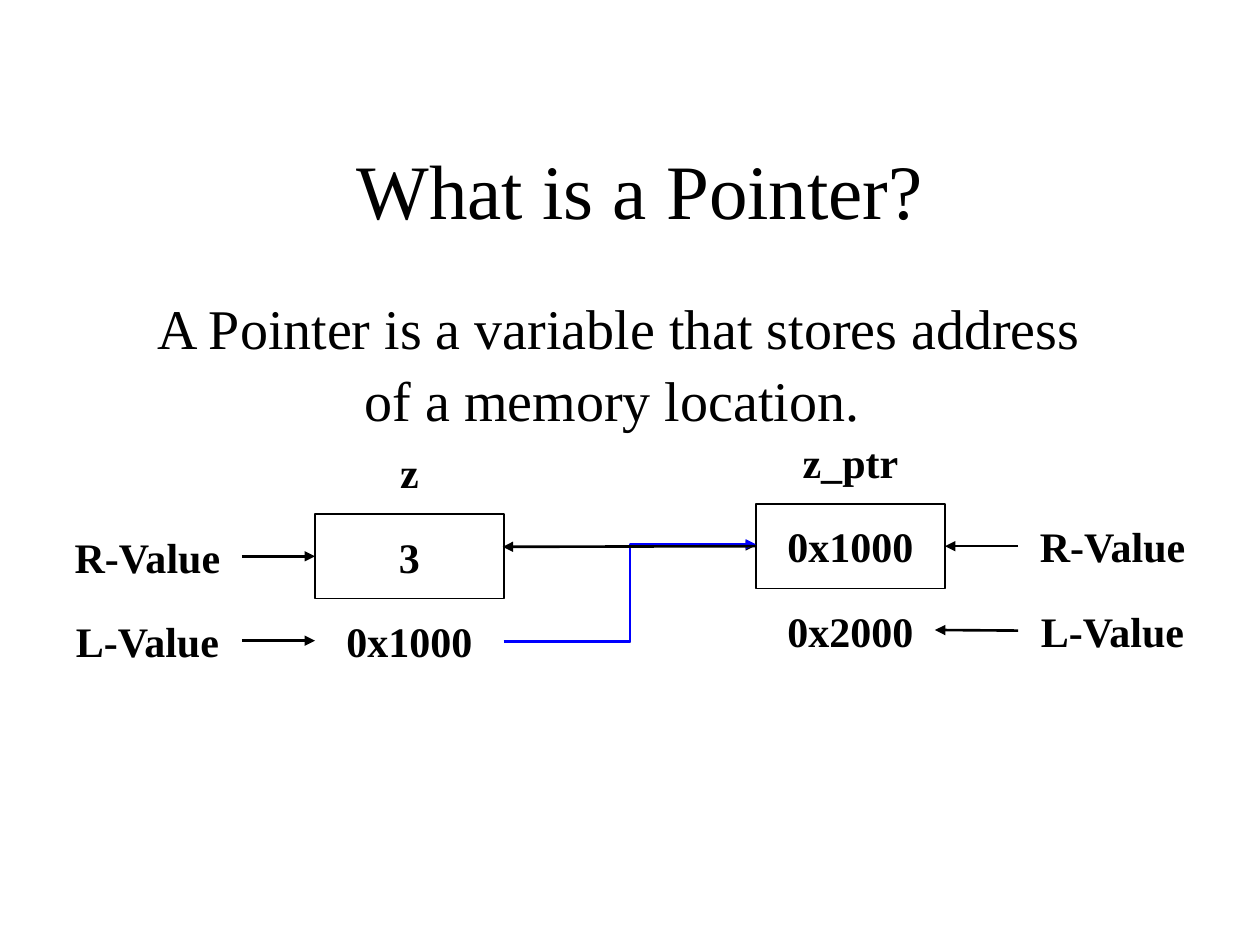
from dataclasses import dataclass
from typing import Optional

from lxml.etree import SubElement as add_node
from pptx import Presentation
from pptx.dml.color import RGBColor as Rgb
from pptx.enum.shapes import MSO_CONNECTOR as Link
from pptx.enum.shapes import MSO_SHAPE as Form
from pptx.enum.text import MSO_ANCHOR as Anchor
from pptx.enum.text import MSO_AUTO_SIZE as Fit
from pptx.enum.text import PP_ALIGN as Align
from pptx.oxml.ns import qn
from pptx.shapes.autoshape import Shape
from pptx.slide import Slide
from pptx.util import Inches, Pt

COLORS = {"ink": "000000", "blue": "0000FF"}
FONT = "Times New Roman"
WIDE, HIGH = 1.5, 0.67


@dataclass
class Cell:
    key: str
    text: str
    left: float
    base: float
    row: int
    framed: bool = False


@dataclass
class Arrow:
    start: tuple[float, float]
    end: tuple[float, float]
    color: str = "ink"
    kind: Link = Link.STRAIGHT
    source: Optional[tuple[str, int]] = None
    target: Optional[tuple[str, int]] = None


CELLS = [
    Cell("z name", "z", 2.5, 4.08, -1),
    Cell("z box", "3", 2.5, 4.08, 0, True),
    Cell("z place", "0x1000", 2.5, 4.08, 1),
    Cell("z right", "R-Value", 0.42, 4.08, 0),
    Cell("z left", "L-Value", 0.42, 4.08, 1),
    Cell("ptr name", "z_ptr", 6, 4, -1),
    Cell("ptr box", "0x1000", 6, 4, 0, True),
    Cell("ptr place", "0x2000", 6, 4, 1),
    Cell("ptr right", "R-Value", 8.08, 4, 0),
    Cell("ptr left", "L-Value", 8.08, 4, 1),
]

ARROWS = [
    Arrow((4, 5.09), (6, 4.33), kind=Link.ELBOW),
    Arrow((1.92, 4.42), (2.5, 4.42), source=("z right", 3), target=("z box", 1)),
    Arrow((1.92, 5.08), (2.5, 5.08), source=("z left", 3), target=("z place", 1)),
    Arrow((8.08, 4.33), (7.5, 4.33), source=("ptr right", 1), target=("ptr box", 3)),
    Arrow((8.08, 5), (7.42, 5), source=("ptr left", 1)),
    Arrow((4, 5.09), (6, 4.32), "blue", Link.ELBOW),
    Arrow((6, 4.33), (3.99, 4.34), source=("ptr box", 1)),
]


def write(shape: Shape, text: str, size: int, bold: bool = False,
          wrap: bool = True, anchor: Anchor = Anchor.MIDDLE) -> None:
    frame = shape.text_frame
    frame.auto_size = Fit.NONE
    frame.word_wrap = wrap
    frame.vertical_anchor = anchor
    para = frame.paragraphs[0]
    para.alignment = Align.CENTER
    run = para.add_run()
    run.text = text
    run.font.name = FONT
    run.font.size = Pt(size)
    run.font.bold = bold
    run.font.color.rgb = Rgb.from_string(COLORS["ink"])


def place(shape: Shape, left: float, top: float, wide: float, high: float) -> None:
    shape.left, shape.top = Inches(left), Inches(top)
    shape.width, shape.height = Inches(wide), Inches(high)


def draw_cell(slide: Slide, cell: Cell) -> Shape:
    area = [Inches(n) for n in (cell.left, cell.base + cell.row * HIGH, WIDE, HIGH)]
    if cell.framed:
        shape = slide.shapes.add_shape(Form.RECTANGLE, *area)
        shape.shadow.inherit = False
        shape.fill.background()
        shape.line.color.rgb = Rgb.from_string(COLORS["ink"])
        shape.line.width = Pt(0.75)
    else:
        shape = slide.shapes.add_textbox(*area)
    write(shape, cell.text, 24, bold=True, wrap=False)
    return shape


def draw_arrow(slide: Slide, arrow: Arrow, shapes: dict[str, Shape]) -> None:
    ends = [Inches(n) for n in (*arrow.start, *arrow.end)]
    link = slide.shapes.add_connector(arrow.kind, *ends)
    if arrow.source:
        key, side = arrow.source
        link.begin_connect(shapes[key], side)
    if arrow.target:
        key, side = arrow.target
        link.end_connect(shapes[key], side)
    link.line.color.rgb = Rgb.from_string(COLORS[arrow.color])
    link.line.width = Pt(1.5)
    props = link._element.spPr
    add_node(props.find(qn("a:ln")), qn("a:tailEnd"), type="triangle")
    add_node(props, qn("a:effectLst"))


def main() -> None:
    deck = Presentation()
    deck.slide_width, deck.slide_height = Inches(10), Inches(7.5)
    slide = deck.slides.add_slide(deck.slide_layouts[0])

    title = slide.shapes.title
    place(title, 0.83, 1, 8.5, 1)
    write(title, "What is a Pointer?", 44)

    body = slide.placeholders[1]
    place(body, 1.08, 2.25, 7.67, 0.92)
    write(body, "A Pointer is a variable that stores address of a memory location. ",
          32, anchor=Anchor.TOP)
    para = body.text_frame.paragraphs[0]
    para.space_before = Pt(8)
    para.line_spacing = 1.06

    shapes = {cell.key: draw_cell(slide, cell) for cell in CELLS}
    for arrow in ARROWS:
        draw_arrow(slide, arrow, shapes)
    deck.save("out.pptx")


if __name__ == "__main__":
    main()
